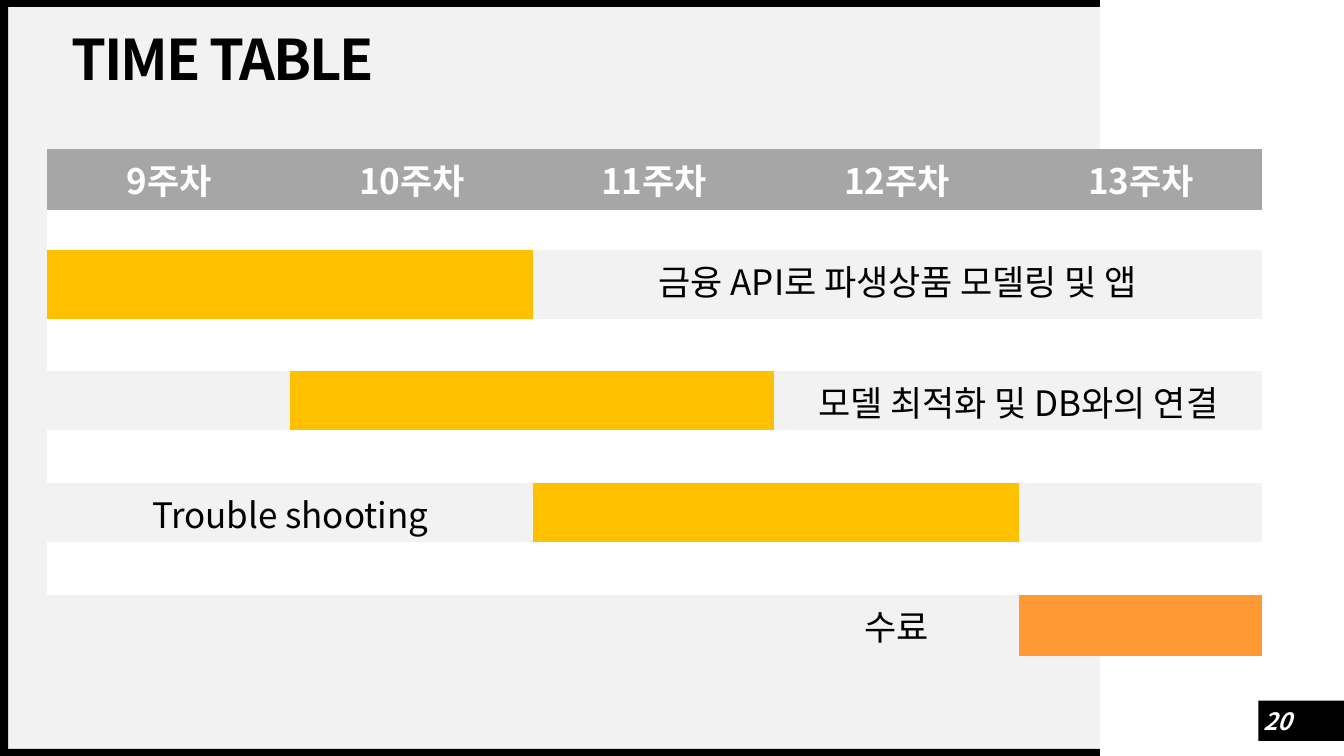
import pptx
import pptx.util
import pptx.dml.color
import pptx.enum.text
import pptx.enum.shapes
import lxml.etree

Inches = pptx.util.Inches
RGBColor = pptx.dml.color.RGBColor
Align = pptx.enum.text.PP_ALIGN
Anchor = pptx.enum.text.MSO_ANCHOR

BLACK = RGBColor(0x00, 0x00, 0x00)
WHITE = RGBColor(0xFF, 0xFF, 0xFF)
PALE = RGBColor(0xF2, 0xF2, 0xF2)
GRAY = RGBColor(0xA6, 0xA6, 0xA6)
GOLD = RGBColor(0xFF, 0xC0, 0x00)
ORANGE = RGBColor(0xFF, 0x99, 0x33)

FACE = "Noto Sans CJK KR"
NO_GRID = "{2D5ABB26-0587-4C30-8999-92F81FD0307C}"
A = "{http://schemas.openxmlformats.org/drawingml/2006/main}"

COLS = [2.41, 2.41, 2.39, 2.43, 2.41]
ROWS = [0.6, 0.4, 0.68, 0.52, 0.59, 0.52, 0.59, 0.52, 0.61]
WEEKS = [f"{week}주차" for week in range(9, 14)]

# Each task: (first column, columns spanned, fill, label)
TASKS = [
    [(0, 2, GOLD, ""), (2, 3, PALE, "금융 API로 파생상품 모델링 및 앱")],
    [(0, 1, PALE, ""), (1, 2, GOLD, ""), (3, 2, PALE, "모델 최적화 및 DB와의 연결")],
    [(0, 2, PALE, "Trouble shooting"), (2, 2, GOLD, ""), (4, 1, PALE, "")],
    [(0, 1, PALE, ""), (1, 1, PALE, ""), (2, 1, PALE, ""),
     (3, 1, PALE, "수료"), (4, 1, ORANGE, "")],
]


def write(para, text, size, color, **style):
    run = para.add_run()
    run.text = text
    look = {"name": FACE, "size": pptx.util.Pt(size), **style}
    for key, value in look.items():
        setattr(run.font, key, value)
    run.font.color.rgb = color
    props = run.font._element
    lxml.etree.SubElement(props, A + "ea", typeface=FACE)
    return props


def block(slide, box, color):
    kind = pptx.enum.shapes.MSO_SHAPE.RECTANGLE
    shape = slide.shapes.add_shape(kind, *map(Inches, box))
    shape.shadow.inherit = False
    shape.fill.solid()
    shape.fill.fore_color.rgb = color
    shape.line.fill.background()


def frame(slide, box):
    left, top, width, height = box
    edge = 0.07
    block(slide, box, PALE)
    block(slide, (left, top + height - edge, width, edge), BLACK)
    block(slide, (left, top, width, edge), BLACK)
    block(slide, (left, top, 0.08, height), BLACK)


def label(slide, box, **layout):
    text = slide.shapes.add_textbox(*map(Inches, box)).text_frame
    for key, value in layout.items():
        setattr(text, key, value)
    return text.paragraphs[0]


def title(slide, box):
    para = label(slide, box, word_wrap=True, vertical_anchor=Anchor.BOTTOM)
    para.line_spacing = 0.9
    props = write(para, "TIME TABLE", 40, BLACK, bold=True)
    props.set("spc", "-150")


def number(slide, box):
    left, top, width, height = box
    block(slide, box, BLACK)
    para = label(slide, (left + 0.04, top + 0.05, 0.3, 0.3),
                 margin_left=0, margin_right=0, margin_top=0, margin_bottom=0,
                 word_wrap=False, vertical_anchor=Anchor.MIDDLE)
    para.alignment = Align.CENTER
    write(para, "20", 17, WHITE, bold=True, italic=True)


def paint(cell, fill, text="", color=BLACK, bold=False):
    cell.fill.solid()
    cell.fill.fore_color.rgb = fill
    para = cell.text_frame.paragraphs[0]
    if text:
        para.alignment = Align.CENTER
        write(para, text, 25, color, bold=bold)
    else:
        # Small end mark lets thin rows keep their height
        lxml.etree.SubElement(para._p, A + "endParaRPr", sz="800")


def chart(slide, box):
    grid = slide.shapes.add_table(len(ROWS), len(COLS), *map(Inches, box)).table
    grid._tbl.tblPr.find(A + "tableStyleId").text = NO_GRID
    grid.first_row = grid.horz_banding = False
    for col, width in zip(grid.columns, COLS):
        col.width = Inches(width)
    for row, height in zip(grid.rows, ROWS):
        row.height = Inches(height)

    # Week headings
    for col, week in enumerate(WEEKS):
        paint(grid.cell(0, col), GRAY, week, WHITE, True)

    # A white gap row, then a task row
    for index, parts in enumerate(TASKS):
        gap = 2 * index + 1
        for col in range(len(COLS)):
            paint(grid.cell(gap, col), WHITE)
        for first, span, fill, text in parts:
            for col in range(first, first + span):
                paint(grid.cell(gap + 1, col), fill, text if col == first else "")
            if span > 1:
                last = grid.cell(gap + 1, first + span - 1)
                grid.cell(gap + 1, first).merge(last)


def main():
    deck = pptx.Presentation()
    deck.slide_width = Inches(13.33)
    deck.slide_height = Inches(7.5)
    slide = deck.slides.add_slide(deck.slide_layouts[6])
    frame(slide, (0, 0, 10.91, 7.5))
    number(slide, (12.48, 6.95, 0.86, 0.4))
    chart(slide, (0.47, 1.48, sum(COLS), sum(ROWS)))
    title(slide, (0.61, 0.23, 4, 0.74))
    deck.save("out.pptx")


if __name__ == "__main__":
    main()
